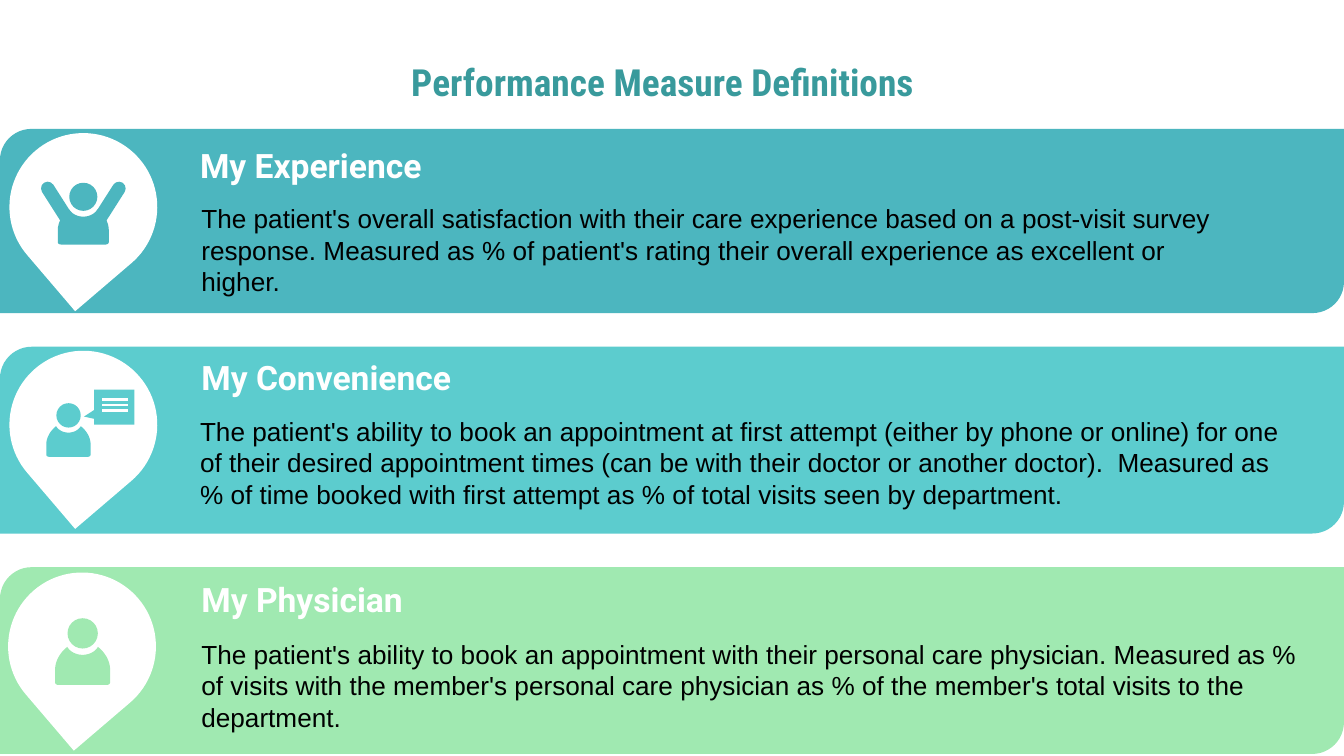
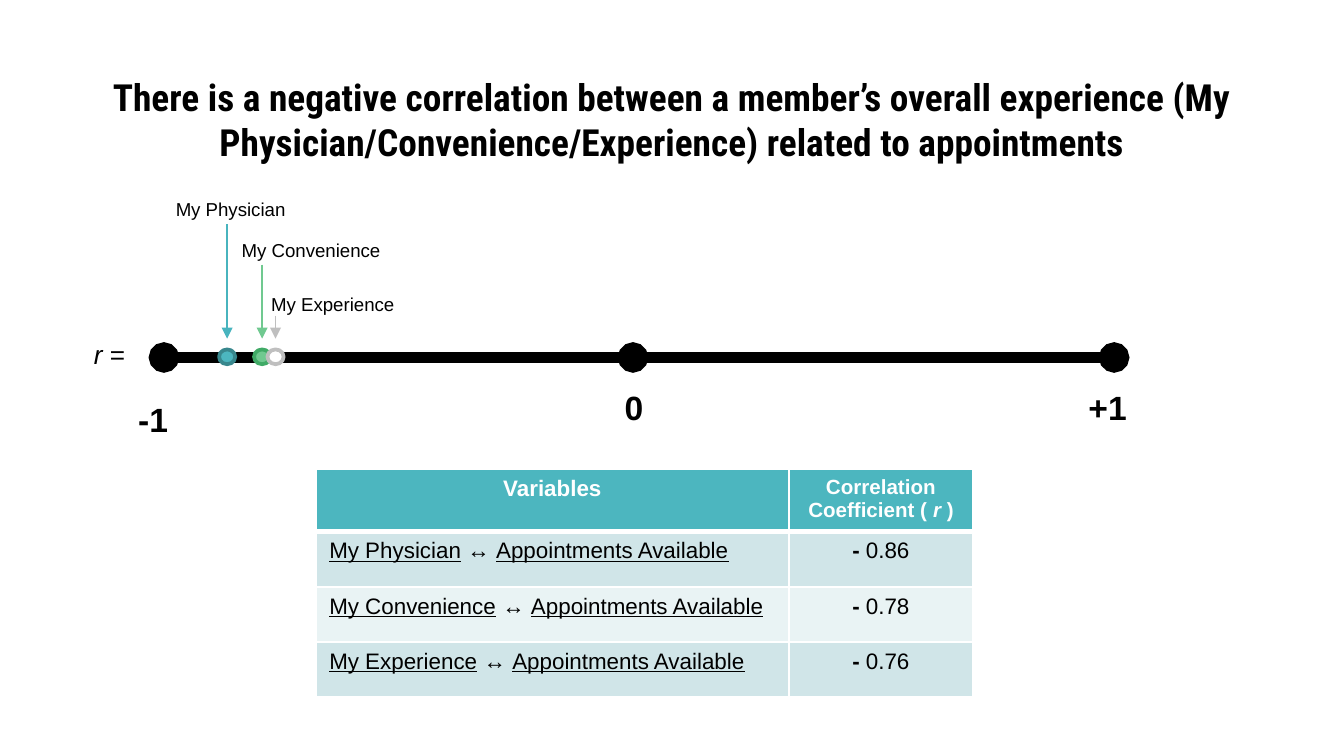
from dataclasses import dataclass, replace
from typing import Optional

from lxml import etree
from pptx import Presentation
from pptx.dml.color import RGBColor
from pptx.enum.shapes import MSO_CONNECTOR, MSO_SHAPE
from pptx.enum.text import MSO_ANCHOR, MSO_AUTO_SIZE, PP_ALIGN
from pptx.oxml.ns import qn
from pptx.util import Emu, Inches, Pt

# Enum members
STRAIGHT = MSO_CONNECTOR.STRAIGHT
DIAGONAL_BAND = MSO_SHAPE.ROUND_2_DIAG_RECTANGLE
TEARDROP = MSO_SHAPE.TEAR
OVAL = MSO_SHAPE.OVAL
ROUNDED = MSO_SHAPE.ROUNDED_RECTANGLE
CALLOUT = MSO_SHAPE.ROUNDED_RECTANGULAR_CALLOUT
LEFT, CENTER = PP_ALIGN.LEFT, PP_ALIGN.CENTER

# Colours and fonts
BLACK = RGBColor(0x00, 0x00, 0x00)
WHITE = RGBColor(0xFF, 0xFF, 0xFF)
TEAL = RGBColor(0x4C, 0xB6, 0xBF)
TEAL_DARK = RGBColor(0x38, 0x87, 0x8D)
TEAL_TITLE = RGBColor(0x39, 0x9A, 0x9C)
TEAL_ARROW = RGBColor(0x48, 0xB4, 0xBE)
AQUA = RGBColor(0x5C, 0xCC, 0xCE)
MINT = RGBColor(0xA0, 0xE9, 0xB1)
GREEN = RGBColor(0x70, 0xC9, 0x90)
GREEN_DARK = RGBColor(0x40, 0xAA, 0x66)
GREY = RGBColor(0xBF, 0xBF, 0xBF)
ROW_DARK = RGBColor(0xD0, 0xE5, 0xE8)
ROW_LIGHT = RGBColor(0xE9, 0xF3, 0xF4)
BODY_FONT, HEADING_FONT, TITLE_FONT = "Arial", "Roboto", "Roboto Condensed"

# Grid: square cells, 100 columns across the slide
SLIDE_WIDTH = Inches(10)
SLIDE_HEIGHT = SLIDE_WIDTH * 9 // 16
CELL = SLIDE_WIDTH / 100


def grid(cells: float) -> Emu:
    return Emu(round(cells * CELL))


@dataclass(frozen=True)
class Box:
    left: float
    top: float
    width: float
    height: float

    def emu(self) -> tuple:
        return tuple(grid(v) for v in (self.left, self.top, self.width, self.height))


@dataclass(frozen=True)
class Run:
    text: str
    size: float
    color: RGBColor = BLACK
    font: str = BODY_FONT
    bold: bool = False
    italic: bool = False
    underline: bool = False


@dataclass(frozen=True)
class Card:
    heading: str
    text: str
    color: RGBColor
    band: Box
    pin: tuple
    heading_at: tuple
    text_box: Box


@dataclass(frozen=True)
class Marker:
    label: str
    label_box: Box
    x: float
    arrow_top: float
    arrow: RGBColor
    fill: RGBColor
    outline: RGBColor
    coefficient: str


CARDS = [
    Card("My Experience",
         "The patient's overall satisfaction with their care experience based on a "
         "post-visit survey response. Measured as % of patient's rating their overall "
         "experience as excellent or higher.",
         TEAL, Box(0, 9.6, 100, 13.7), (0.7, 9.9), (13.9, 10.3), Box(14, 14.6, 77.3, 8.1)),
    Card("My Convenience",
         "The patient's ability to book an appointment at first attempt (either by phone "
         "or online) for one of their desired appointment times (can be with their doctor "
         "or another doctor).  Measured as % of time booked with first attempt as % of "
         "total visits seen by department.",
         AQUA, Box(0, 25.8, 100, 13.9), (0.7, 26.1), (14, 26.1), Box(13.9, 30.4, 83.7, 8.1)),
    Card("My Physician",
         "The patient's ability to book an appointment with their personal care physician. "
         "Measured as % of visits with the member's personal care physician as % of the "
         "member's total visits to the department.",
         MINT, Box(0, 42.2, 100, 13.9), (0.6, 42.6), (14, 42.6), Box(14, 47, 83.7, 8.1)),
]

MARKERS = [
    Marker("My Physician", Box(12.1, 14.2, 10.7, 2.7), 16.9, 16.7,
           TEAL_ARROW, TEAL, TEAL_DARK, "0.86"),
    Marker("My Convenience", Box(17, 17.3, 13.8, 2.7), 19.5, 19.7,
           GREEN, GREEN, GREEN_DARK, "0.78"),
    Marker("My Experience", Box(19.2, 21.3, 11.7, 2.7), 20.5, 23.5,
           GREY, WHITE, GREY, "0.76"),
]

# Person's shoulders in shares of the width and height: (x, y) is a corner,
# six numbers are a cubic curve
SHOULDERS = [
    (0.78, 0), (0.9, 0.14, 1, 0.36, 1, 0.6), (1, 0.93), (1, 0.97, 0.97, 1, 0.94, 1),
    (0.06, 1), (0.03, 1, 0, 0.97, 0, 0.93), (0, 0.6), (0, 0.36, 0.1, 0.14, 0.22, 0),
    (0.28, 0.14, 0.39, 0.21, 0.5, 0.21), (0.61, 0.21, 0.72, 0.14, 0.78, 0),
]
CURVE_STEPS = 8


# Shared drawing functions
def add_runs(paragraph, runs: list[Run], align=LEFT) -> None:
    paragraph.alignment = align
    for item in runs:
        run = paragraph.add_run()
        run.text = item.text
        font = run.font
        font.size, font.name = Pt(item.size), item.font
        font.bold, font.italic, font.underline = item.bold, item.italic, item.underline
        font.color.rgb = item.color


def add_text(slide, box: Box, runs: list[Run]) -> None:
    frame = slide.shapes.add_textbox(*box.emu()).text_frame
    frame.word_wrap = True
    frame.auto_size = MSO_AUTO_SIZE.SHAPE_TO_FIT_TEXT
    add_runs(frame.paragraphs[0], runs)


def add_titled_slide(presentation, title: str, box: Box, color: RGBColor):
    slide = presentation.slides.add_slide(presentation.slide_layouts[5])
    shape = slide.shapes.title
    shape.left, shape.top, shape.width, shape.height = box.emu()
    frame = shape.text_frame
    frame.word_wrap, frame.auto_size = True, MSO_AUTO_SIZE.NONE
    frame.vertical_anchor = MSO_ANCHOR.TOP
    frame.margin_left = frame.margin_right = grid(1)
    frame.margin_top = frame.margin_bottom = grid(1)
    add_runs(frame.paragraphs[0], [Run(title, 20, color, TITLE_FONT, bold=True)], CENTER)
    return slide


def paint(shape, fill: RGBColor, outline: Optional[RGBColor] = None) -> None:
    shape.shadow.inherit = False
    shape.fill.solid()
    shape.fill.fore_color.rgb = fill
    if outline is None:
        shape.line.fill.background()
    else:
        shape.line.color.rgb = outline
        shape.line.width = Pt(2)


def add_shape(shapes, kind, box: Box, fill: RGBColor, adjustments: tuple = (),
              rotation: float = 0, outline: Optional[RGBColor] = None) -> None:
    shape = shapes.add_shape(kind, *box.emu())
    for index, value in enumerate(adjustments):
        shape.adjustments[index] = value
    shape.rotation = rotation
    paint(shape, fill, outline)


def add_line(shapes, start: tuple, end: tuple, color: RGBColor, width: float,
             head: str = "", tail: str = "") -> None:
    line = shapes.add_connector(STRAIGHT, *(grid(v) for v in (*start, *end)))
    line.line.color.rgb = color
    line.line.width = Pt(width)
    properties = line.line._get_or_add_ln()
    for tag, kind in (("a:headEnd", head), ("a:tailEnd", tail)):
        if kind:
            etree.SubElement(properties, qn(tag), type=kind)
    etree.SubElement(line._element.spPr, qn("a:effectLst"))


# Icons
def add_person(shapes, center: float, top: float, width: float, color: RGBColor) -> None:
    head = 0.55 * width
    add_shape(shapes, OVAL, Box(center - head / 2, top, head, head), color)
    left, shoulder_top, height = center - width / 2, top + 0.52 * width, 0.69 * width
    points = [SHOULDERS[0]]
    for step in SHOULDERS[1:]:
        if len(step) == 2:
            points.append(step)
            continue
        controls = (points[-1], step[:2], step[2:4], step[4:])
        for index in range(1, CURVE_STEPS + 1):
            t = index / CURVE_STEPS
            weights = ((1 - t) ** 3, 3 * t * (1 - t) ** 2, 3 * t * t * (1 - t), t ** 3)
            points.append(tuple(sum(w * c[axis] for w, c in zip(weights, controls))
                                for axis in (0, 1)))
    outline = [(grid(left + x * width), grid(shoulder_top + y * height)) for x, y in points]
    builder = shapes.build_freeform(*outline[0])
    builder.add_line_segments(outline[1:], close=True)
    paint(builder.convert_to_shape(), color)


def add_cheering_icon(shapes, color: RGBColor) -> None:
    add_person(shapes, 6.2, 13.6, 3.8, color)
    for left, angle in ((3.8, 147.5), (7.6, 212.5)):
        add_shape(shapes, ROUNDED, Box(left, 13.3, 1, 3.8), color, (0.5,), angle)


def add_talking_icon(shapes, color: RGBColor) -> None:
    add_person(shapes, 5.1, 30, 3.3, color)
    add_shape(shapes, CALLOUT, Box(7, 29, 3, 2.6), color, (-0.75, 0.27, 0))
    for index in range(3):
        y = 29.7 + 0.43 * index
        add_line(shapes, (7.6, y), (9.5, y), WHITE, 1.5)


def add_standing_icon(shapes, color: RGBColor) -> None:
    add_person(shapes, 6.15, 46, 4.1, color)


def build_definitions(presentation) -> None:
    slide = add_titled_slide(presentation, "Performance Measure Definitions",
                             Box(20.7, 3.4, 57.2, 4.8), TEAL_TITLE)
    icons = (add_cheering_icon, add_talking_icon, add_standing_icon)
    for card, add_icon in zip(CARDS, icons):
        add_shape(slide.shapes, DIAGONAL_BAND, card.band, card.color, (0.17, 0))
        add_shape(slide.shapes, TEARDROP, Box(*card.pin, 11, 11), WHITE, (1,), 139.5)
        add_icon(slide.shapes.add_group_shape().shapes, card.color)
        add_text(slide, Box(*card.heading_at, 20.9, 4),
                 [Run(card.heading, 18, WHITE, HEADING_FONT, bold=True)])
        add_text(slide, card.text_box, [Run(card.text, 14)])


# Correlation table
def fill_cell(cell, runs: list[Run], align, fill: RGBColor, top: float, bottom: float) -> None:
    add_runs(cell.text_frame.paragraphs[0], runs, align)
    properties = cell._tc.get_or_add_tcPr()
    for side, width in (("L", 1), ("R", 1), ("T", top), ("B", bottom)):
        border = etree.SubElement(properties, qn(f"a:ln{side}"), w=str(Pt(width)))
        solid = etree.SubElement(border, qn("a:solidFill"))
        etree.SubElement(solid, qn("a:srgbClr"), val=str(WHITE))
    cell.fill.solid()
    cell.fill.fore_color.rgb = fill


def add_correlation_table(slide) -> None:
    box = Box(23.5, 34.9, 48.9, 16.4)
    table = slide.shapes.add_table(len(MARKERS) + 1, 2, *box.emu()).table
    for column, width in zip(table.columns, (35.2, 13.7)):
        column.width = grid(width)
    header = Run("Correlation Coefficient ( ", 11, WHITE, bold=True)
    fill_cell(table.cell(0, 0), [Run("Variables", 12, WHITE, bold=True)], CENTER, TEAL, 1, 3)
    fill_cell(table.cell(0, 1),
              [header, replace(header, text="r ", italic=True), replace(header, text=")")],
              CENTER, TEAL, 1, 3)
    for index, marker in enumerate(MARKERS, start=1):
        fill = ROW_DARK if index % 2 else ROW_LIGHT
        top = 3 if index == 1 else 1
        variables = [Run(marker.label, 12, underline=True), Run(" ↔️ ", 12),
                     Run("Appointments Available", 12, underline=True)]
        coefficient = [Run("-", 12, bold=True), Run(f" {marker.coefficient}", 12)]
        fill_cell(table.cell(index, 0), variables, LEFT, fill, top, 1)
        fill_cell(table.cell(index, 1), coefficient, CENTER, fill, top, 1)


def build_correlation(presentation) -> None:
    slide = add_titled_slide(
        presentation,
        "There is a negative correlation between a member’s overall experience "
        "(My Physician/Convenience/Experience) related to appointments",
        Box(5, 4.5, 90, 6.3), BLACK)

    # Number line from -1 to +1
    axis_y, low, zero, high = 26.6, 12.2, 47.1, 82.9
    add_line(slide.shapes, (low, axis_y), (zero, axis_y), BLACK, 5.5, head="oval")
    add_line(slide.shapes, (zero, axis_y), (high, axis_y), BLACK, 5.5, "oval", "oval")
    for text, box in (("+1", Box(80, 28.3, 5.8, 4)), ("-1", Box(9.3, 29.2, 5.8, 4)),
                      ("0", Box(45.5, 28.3, 3.1, 4))):
        add_text(slide, box, [Run(text, 18, bold=True)])
    add_text(slide, Box(6, 24.7, 4.5, 3.4), [Run("r ", 14, italic=True), Run("=", 14)])

    # Markers with their arrows and labels
    for marker in MARKERS:
        add_shape(slide.shapes, OVAL, Box(marker.x - 0.6, 26, 1.2, 1.1), marker.fill,
                  outline=marker.outline)
        add_line(slide.shapes, (marker.x, marker.arrow_top), (marker.x, 25.2),
                 marker.arrow, 0.75, tail="triangle")
        add_text(slide, marker.label_box, [Run(marker.label, 10)])

    add_correlation_table(slide)


def main() -> None:
    presentation = Presentation()
    presentation.slide_width, presentation.slide_height = SLIDE_WIDTH, SLIDE_HEIGHT
    build_definitions(presentation)
    build_correlation(presentation)
    presentation.save("out.pptx")


if __name__ == "__main__":
    main()
